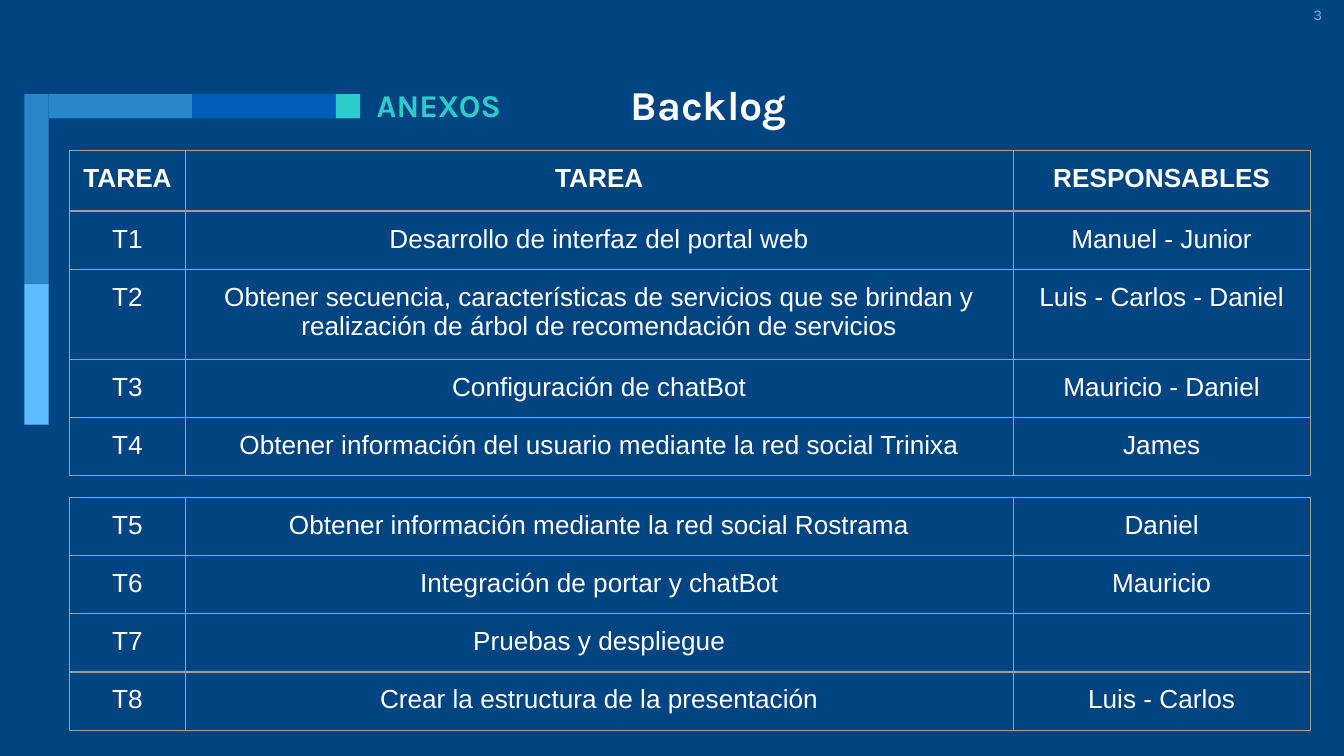
from dataclasses import dataclass

from lxml import etree
from pptx import Presentation
from pptx.dml.color import RGBColor
from pptx.enum.shapes import MSO_SHAPE
from pptx.enum.text import MSO_ANCHOR, MSO_AUTO_SIZE, PP_ALIGN
from pptx.oxml.ns import qn
from pptx.util import Cm, Pt

RECTANGLE = MSO_SHAPE.RECTANGLE
TOP = MSO_ANCHOR.TOP
NO_AUTOFIT = MSO_AUTO_SIZE.NONE
LEFT, CENTER, JUSTIFY = PP_ALIGN.LEFT, PP_ALIGN.CENTER, PP_ALIGN.JUSTIFY


@dataclass(frozen=True)
class Theme:
    navy: str = "004481"
    steel: str = "2A85C9"
    sky: str = "5BBDFF"
    royal: str = "005EB8"
    teal: str = "2CCCCD"
    white: str = "FFFFFF"
    grid: str = "9E9E9E"
    heading_font: str = "Karla"
    table_font: str = "Arial"
    number_size: int = 8
    table_size: int = 14
    section_size: int = 17
    title_size: int = 22
    grid_width: float = 0.75


THEME = Theme()

BAR_LEFT, BAR_TOP, BAR_THICKNESS = 0.46, 1.78, 0.46
VERTICAL_BARS = [(THEME.steel, 3.58), (THEME.sky, 2.67)]
HORIZONTAL_BARS = [(THEME.steel, 2.71), (THEME.royal, 2.72), (THEME.teal, 0.46)]

TABLE_LEFT = 1.32
COLUMN_WIDTHS = [2.18, 15.65, 5.61]
CELL_MARGIN = 0.25
HEADER_HEIGHT, ROW_HEIGHT, TALL_ROW_HEIGHT = 1.15, 1.1, 1.7

FIRST_TASKS = [
    ("TAREA", "TAREA", "RESPONSABLES"),
    ("T1", "Desarrollo de interfaz del portal web", "Manuel - Junior"),
    (
        "T2",
        "Obtener secuencia, características de servicios que se brindan y "
        "realización de árbol de recomendación de servicios",
        "Luis - Carlos - Daniel",
    ),
    ("T3", "Configuración de chatBot", "Mauricio - Daniel"),
    ("T4", "Obtener información del usuario mediante la red social Trinixa", "James"),
]
LAST_TASKS = [
    ("T5", "Obtener información mediante la red social Rostrama", "Daniel"),
    ("T6", "Integración de portar y chatBot", "Mauricio"),
    ("T7", "Pruebas y despliegue", ""),
    ("T8", "Crear la estructura de la presentación", "Luis - Carlos"),
]


def format_runs(paragraph, font_name, size, color, bold=False):
    for run in paragraph.runs:
        run.font.name = font_name
        run.font.size = Pt(size)
        run.font.bold = bold
        run.font.color.rgb = RGBColor.from_string(color)


def write_heading(box, text, size, color, align=LEFT, bold=True, left_inset=0.03):
    frame = box.text_frame
    frame.text = text
    frame.word_wrap = True
    frame.auto_size = NO_AUTOFIT
    frame.vertical_anchor = TOP
    frame.margin_left, frame.margin_top = Cm(left_inset), Cm(0.03)
    frame.margin_right = frame.margin_bottom = 0
    paragraph = frame.paragraphs[0]
    paragraph.alignment = align
    format_runs(paragraph, THEME.heading_font, size, color, bold)


def place_title(slide, text):
    title = slide.shapes.title
    title.left, title.top = Cm(11.92), Cm(1.47)
    title.width, title.height = Cm(3.66), Cm(0.97)
    write_heading(title, text, THEME.title_size, THEME.white, JUSTIFY, left_inset=0)


def add_label(slide, text, left, top, width, height, size, color, bold):
    box = slide.shapes.add_textbox(Cm(left), Cm(top), Cm(width), Cm(height))
    write_heading(box, text, size, color, bold=bold)


def add_bar(corner, left, top, width, height, color):
    bar = corner.shapes.add_shape(RECTANGLE, Cm(left), Cm(top), Cm(width), Cm(height))
    bar.shadow.inherit = False
    bar.fill.solid()
    bar.fill.fore_color.rgb = RGBColor.from_string(color)
    bar.line.fill.background()


def add_corner(slide):
    corner = slide.shapes.add_group_shape()
    top = BAR_TOP
    for color, length in VERTICAL_BARS:
        add_bar(corner, BAR_LEFT, top, BAR_THICKNESS, length, color)
        top += length
    left = BAR_LEFT + BAR_THICKNESS
    for color, length in HORIZONTAL_BARS:
        add_bar(corner, left, BAR_TOP, length, BAR_THICKNESS, color)
        left += length


def draw_borders(cell):
    properties = cell._tc.get_or_add_tcPr()
    for position, side in enumerate(("a:lnL", "a:lnR", "a:lnT", "a:lnB")):
        border = etree.Element(qn(side), w=str(Pt(THEME.grid_width)))
        fill = etree.SubElement(border, qn("a:solidFill"))
        etree.SubElement(fill, qn("a:srgbClr"), val=THEME.grid)
        properties.insert(position, border)


def write_cell(cell, text, bold):
    cell.text = text
    cell.fill.background()
    cell.vertical_anchor = TOP
    cell.margin_left = cell.margin_right = Cm(CELL_MARGIN)
    cell.margin_top = cell.margin_bottom = Cm(CELL_MARGIN)
    paragraph = cell.text_frame.paragraphs[0]
    paragraph.alignment = CENTER
    format_runs(paragraph, THEME.table_font, THEME.table_size, THEME.white, bold)
    etree.SubElement(
        paragraph._p, qn("a:endParaRPr"), sz=str(THEME.table_size * 100)
    )
    draw_borders(cell)


def add_task_table(slide, tasks, top, row_heights, has_header=False):
    table = slide.shapes.add_table(
        len(tasks), len(COLUMN_WIDTHS), Cm(TABLE_LEFT), Cm(top),
        Cm(sum(COLUMN_WIDTHS)), Cm(sum(row_heights)),
    ).table
    table.first_row = has_header
    table.horz_banding = False
    for column, width in zip(table.columns, COLUMN_WIDTHS):
        column.width = Cm(width)
    for index, (row, height, task) in enumerate(zip(table.rows, row_heights, tasks)):
        row.height = Cm(height)
        for cell, text in zip(row.cells, task):
            write_cell(cell, text, bold=has_header and index == 0)


def main():
    presentation = Presentation()
    presentation.slide_width, presentation.slide_height = Cm(25.4), Cm(14.29)
    slide = presentation.slides.add_slide(presentation.slide_layouts[5])
    background = slide.background.fill
    background.solid()
    background.fore_color.rgb = RGBColor.from_string(THEME.navy)

    add_corner(slide)
    add_label(slide, "3", 24.79, 0.08, 0.3, 0.38,
              THEME.number_size, THEME.sky, bold=False)
    add_label(slide, "ANEXOS", 7.09, 1.6, 4.5, 0.76,
              THEME.section_size, THEME.teal, bold=True)
    place_title(slide, "Backlog")

    first_heights = [HEADER_HEIGHT, ROW_HEIGHT, TALL_ROW_HEIGHT, ROW_HEIGHT, ROW_HEIGHT]
    add_task_table(slide, FIRST_TASKS, 2.84, first_heights, has_header=True)
    add_task_table(slide, LAST_TASKS, 9.4, [ROW_HEIGHT] * len(LAST_TASKS))
    presentation.save("out.pptx")


if __name__ == "__main__":
    main()
